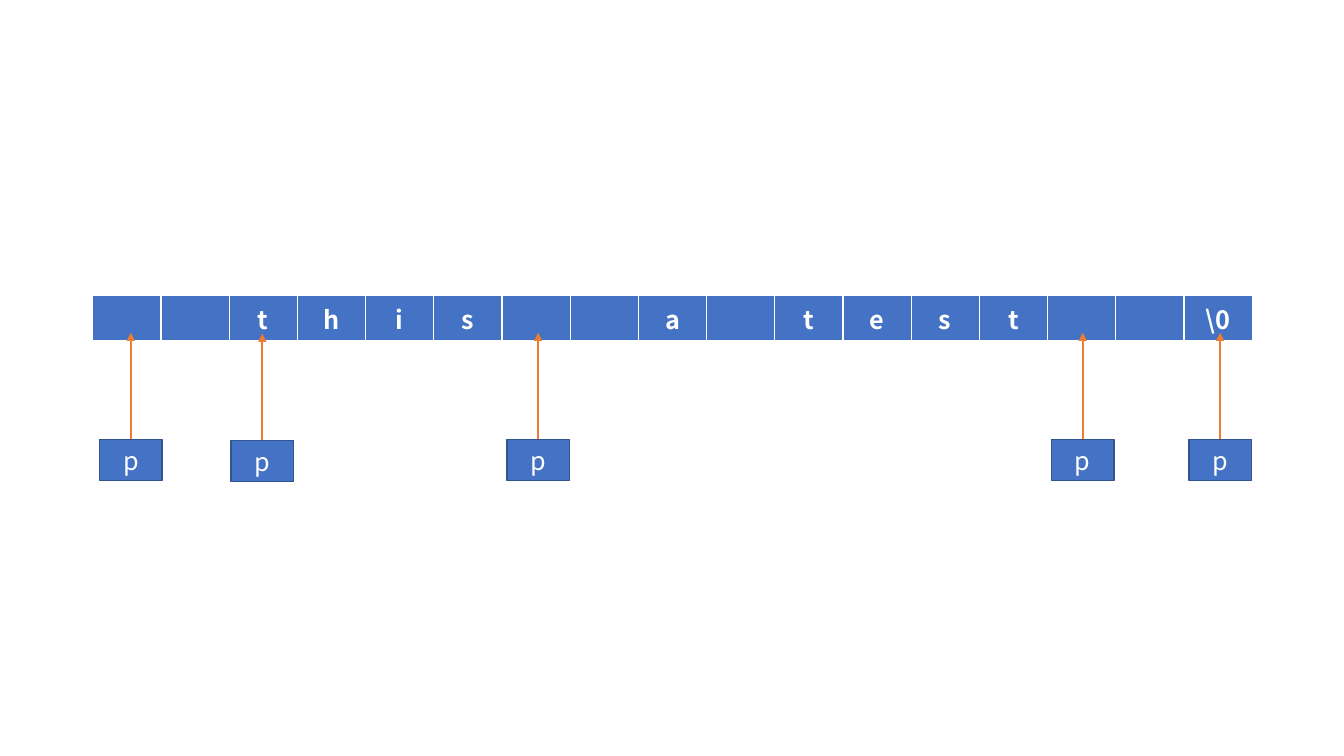
from lxml.etree import SubElement
from pptx import Presentation
from pptx.dml.color import RGBColor
from pptx.enum.shapes import MSO_CONNECTOR, MSO_SHAPE
from pptx.enum.text import MSO_ANCHOR, PP_ALIGN
from pptx.oxml import parse_xml
from pptx.oxml.ns import nsdecls, qn
from pptx.util import Inches, Pt

# Content: the characters in memory, and where the pointer stops
CHARACTERS = [*"  this  a test  ", "\\0"]
POINTER_NAME = "p"
POINTER_STOPS = [  # column, shift from the column centre, shift down
    (0, 0.04, 0), (2, -0.01, 0.01), (6, 0.02, 0), (14, 0.01, 0), (16, 0.02, 0)]

# Style and grid, in inches
FONT = "Noto Sans CJK SC"
BLUE, DARK_BLUE, ORANGE, WHITE = "4472C4", "325491", "ED7D31", "FFFFFF"
LEFT, TOP, WIDTH, ROW_HEIGHT = 0.92, 2.93, 11.5, 0.41
COLUMN_WIDTH = WIDTH / len(CHARACTERS)
BOX_WIDTH, BOX_HEIGHT, BOX_TOP, ARROW_TIP = 0.62, 0.41, 4.36, 3.3
BORDERS = {"lnL": 1, "lnR": 1, "lnT": 1, "lnB": 3}


def color(hex_code):
    return RGBColor.from_string(hex_code)


def paint(target, hex_code):
    target.fill.solid()
    target.fill.fore_color.rgb = color(hex_code)


def write(text_frame, text, size=18, bold=False, font_color=WHITE):
    paragraph = text_frame.paragraphs[0]
    paragraph.alignment = PP_ALIGN.CENTER
    run = paragraph.add_run()
    run.text = text
    run.font.name, run.font.size, run.font.bold = FONT, Pt(size), bold
    run.font.color.rgb = color(font_color)
    properties = run.font._element
    SubElement(properties, qn("a:ea")).set("typeface", FONT)


def add_borders(cell):
    properties = cell._tc.get_or_add_tcPr()
    for index, (side, points) in enumerate(BORDERS.items()):
        properties.insert(index, parse_xml(
            f'<a:{side} {nsdecls("a")} w="{Pt(points)}"><a:solidFill>'
            f'<a:srgbClr val="{WHITE}"/></a:solidFill></a:{side}>'))


def add_pointer(slide, center, box_top, tip):
    group = slide.shapes.add_group_shape()
    box = group.shapes.add_shape(
        MSO_SHAPE.RECTANGLE, Inches(center - BOX_WIDTH / 2), Inches(box_top),
        Inches(BOX_WIDTH), Inches(BOX_HEIGHT))
    box.shadow.inherit = False
    paint(box, BLUE)
    box.line.color.rgb, box.line.width = color(DARK_BLUE), Pt(1)
    box.text_frame.vertical_anchor = MSO_ANCHOR.MIDDLE
    write(box.text_frame, POINTER_NAME)

    arrow = group.shapes.add_connector(
        MSO_CONNECTOR.STRAIGHT, Inches(center), Inches(box_top), Inches(center), Inches(tip))
    arrow.line.color.rgb, arrow.line.width = color(ORANGE), Pt(1.5)
    SubElement(arrow.line._get_or_add_ln(), qn("a:tailEnd")).set("type", "triangle")
    SubElement(arrow._element.spPr, qn("a:effectLst"))


presentation = Presentation()
presentation.slide_width, presentation.slide_height = Inches(13.33), Inches(7.5)
slide = presentation.slides.add_slide(presentation.slide_layouts[6])

# Row of characters
table = slide.shapes.add_table(
    1, len(CHARACTERS), Inches(LEFT), Inches(TOP), Inches(WIDTH), Inches(ROW_HEIGHT)).table
for column, character in enumerate(CHARACTERS):
    table.columns[column].width = Inches(COLUMN_WIDTH)
    cell = table.cell(0, column)
    paint(cell, BLUE)
    add_borders(cell)
    if character.strip():
        write(cell.text_frame, character, bold=True)

# Pointer stops below the row
for column, shift, drop in POINTER_STOPS:
    center = LEFT + (column + 0.5) * COLUMN_WIDTH + shift
    add_pointer(slide, center, BOX_TOP + drop, ARROW_TIP + drop)

presentation.save("out.pptx")
